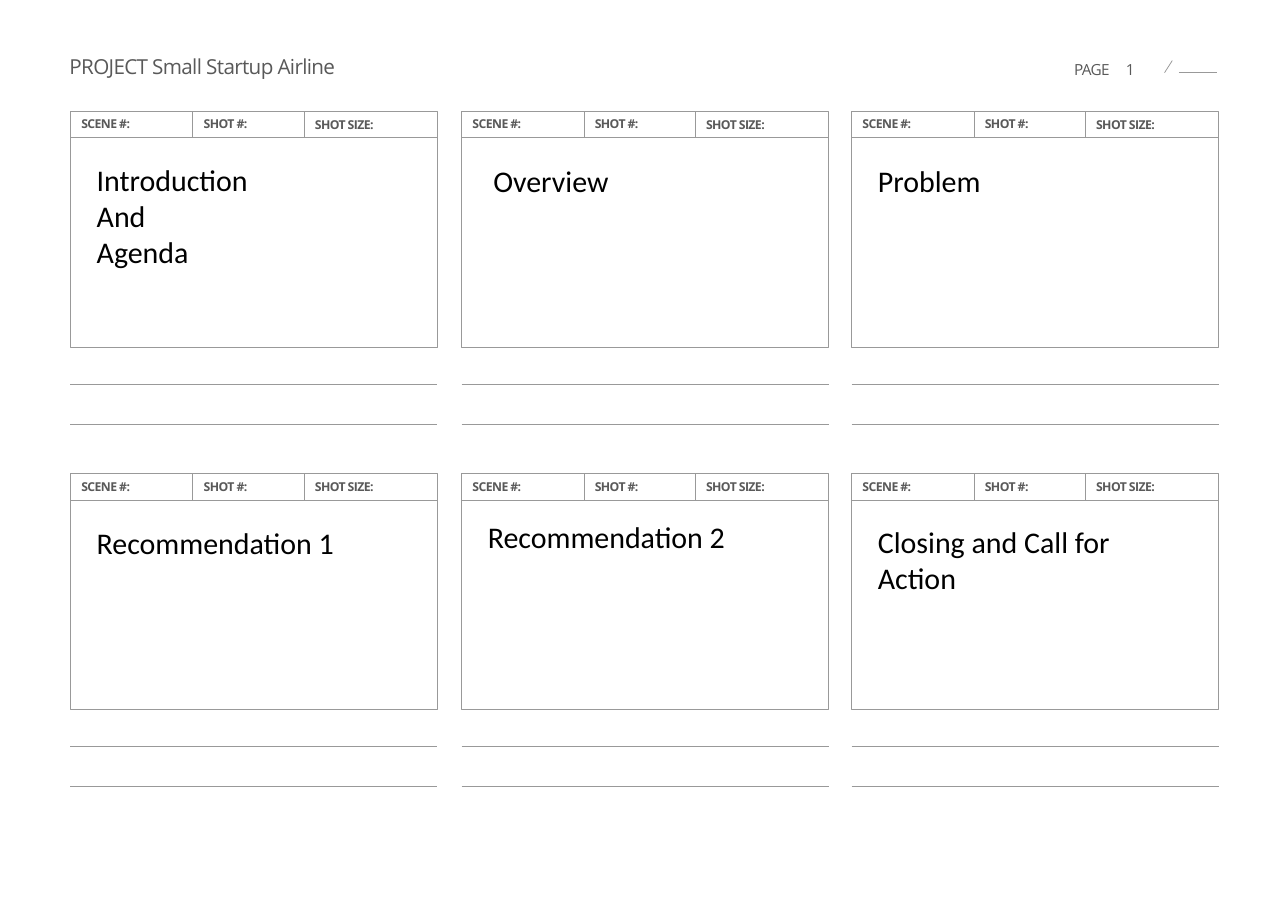
from lxml import etree
from pptx import Presentation
from pptx.dml.color import RGBColor
from pptx.enum.shapes import MSO_CONNECTOR, MSO_SHAPE
from pptx.enum.text import MSO_ANCHOR, MSO_AUTO_SIZE, PP_ALIGN
from pptx.oxml.ns import qn
from pptx.util import Inches, Pt

STRAIGHT = MSO_CONNECTOR.STRAIGHT
RECTANGLE = MSO_SHAPE.RECTANGLE
TOP, MIDDLE = MSO_ANCHOR.TOP, MSO_ANCHOR.MIDDLE
LEFT = PP_ALIGN.LEFT
GROW = MSO_AUTO_SIZE.SHAPE_TO_FIT_TEXT

PANEL_LEFTS = (0.64, 4.19, 7.73)
PANEL_TOPS = (1.01, 4.3)
PANEL_WIDTH, PANEL_HEIGHT, HEADER_HEIGHT = 3.33, 2.14, 0.24
HEADER_CELLS = (
    ("SCENE #:", 0, 0.97, TOP),
    ("SHOT #:", 1.11, 0.75, TOP),
    ("SHOT SIZE:", 2.12, 0.97, MIDDLE),
)
NOTE_LINES = (2.48, 2.84)
SCENES = (
    (("Introduction", "And", "Agenda"), 0.78, 1.42, 1.09),
    (("Overview",), 4.38, 1.43, 0.43),
    (("Problem",), 7.87, 1.43, 0.43),
    (("Recommendation 1",), 0.78, 4.71, 0.43),
    (("Recommendation 2",), 4.33, 4.66, 0.43),
    (("Closing and Call for Action",), 7.87, 4.7, 0.76),
)


def color(value):
    """Turn a hex string into a colour."""
    return RGBColor.from_string(value)


class Storyboard:
    """Holds the style and the current slide of a storyboard."""

    label_font, scene_font = "Open Sans", "Calibri"
    label_color, scene_color, line_color = "595959", "000000", "999999"
    line_width = Pt(0.5)

    def __init__(self, page):
        """Start drawing on a page."""
        self.page = page

    def fill_text(self, box, lines, size, font, ink, bold=False, spacing=0, before=0, anchor=TOP):
        """Put one paragraph per line into a box."""
        frame = box.text_frame
        frame.word_wrap = True
        frame.auto_size = GROW
        frame.vertical_anchor = anchor
        for index, line in enumerate(lines):
            para = frame.add_paragraph() if index else frame.paragraphs[0]
            para.alignment = LEFT
            para.space_before = Pt(before)
            span = para.add_run()
            span.text = line
            span.font.size = Pt(size)
            span.font.name = font
            span.font.bold = bold
            span.font.color.rgb = color(ink)
            if spacing:
                span.font._element.set("spc", str(spacing))

    def text(self, left, top, width, height, lines, size, font, ink, **style):
        """Add a text box."""
        box = self.page.shapes.add_textbox(
            Inches(left), Inches(top), Inches(width), Inches(height))
        self.fill_text(box, lines, size, font, ink, **style)
        return box

    def title(self, left, top, width, height, words):
        """Place and fill the title placeholder."""
        box = self.page.shapes.title
        box.left, box.top = Inches(left), Inches(top)
        box.width, box.height = Inches(width), Inches(height)
        self.fill_text(box, [words], 13.5, self.label_font, self.label_color,
                       spacing=-40, before=1)

    def page_number(self, left, top, width, height, number):
        """Add the page label with its number at a tab stop."""
        box = self.text(left, top, width, height, [f"PAGE\t{number}"], 10,
                        self.label_font, self.label_color, spacing=-40)
        properties = box.text_frame.paragraphs[0]._p.get_or_add_pPr()
        stops = etree.SubElement(properties, qn("a:tabLst"))
        etree.SubElement(stops, qn("a:tab"), pos=str(Inches(0.47)), algn="l")

    def line(self, x1, y1, x2, y2):
        """Add a thin straight line."""
        rule = self.page.shapes.add_connector(
            STRAIGHT, Inches(x1), Inches(y1), Inches(x2), Inches(y2))
        rule.line.color.rgb = color(self.line_color)
        rule.line.width = self.line_width
        etree.SubElement(rule._element.spPr, qn("a:effectLst"))

    def frame(self, left, top, width, height):
        """Add an unfilled outlined rectangle."""
        shape = self.page.shapes.add_shape(
            RECTANGLE, Inches(left), Inches(top), Inches(width), Inches(height))
        shape.shadow.inherit = False
        shape.fill.background()
        shape.line.color.rgb = color(self.line_color)
        shape.line.width = self.line_width

    def panel(self, left, top):
        """Add a scene frame with its header cells and note lines."""
        right, header_bottom = left + PANEL_WIDTH, top + HEADER_HEIGHT
        self.frame(left, top, PANEL_WIDTH, PANEL_HEIGHT)
        self.line(left, header_bottom, right, header_bottom)
        for label, offset, width, anchor in HEADER_CELLS:
            self.text(left + offset, top, width, HEADER_HEIGHT, [label], 8, self.label_font,
                      self.label_color, bold=True, spacing=-40, before=1, anchor=anchor)
            if offset:
                self.line(left + offset, top, left + offset, header_bottom)
        for offset in NOTE_LINES:
            self.line(left, top + offset, right, top + offset)

    def scene(self, lines, left, top, height):
        """Add the caption of a scene."""
        self.text(left, top, 3.04, height, lines, 19.6, self.scene_font, self.scene_color)


def main():
    """Build the storyboard page and save it."""
    deck = Presentation()
    deck.slide_width, deck.slide_height = Inches(11.69), Inches(8.27)
    board = Storyboard(deck.slides.add_slide(deck.slide_layouts[5]))
    board.title(0.53, 0.44, 3.59, 0.33, "PROJECT Small Startup Airline")
    board.page_number(9.65, 0.5, 0.8, 0.27, 1)
    board.line(10.64, 0.55, 10.57, 0.66)
    board.line(10.7, 0.66, 11.05, 0.66)
    for top in PANEL_TOPS:
        for left in PANEL_LEFTS:
            board.panel(left, top)
    for scene in SCENES:
        board.scene(*scene)
    deck.save("out.pptx")


if __name__ == "__main__":
    main()
